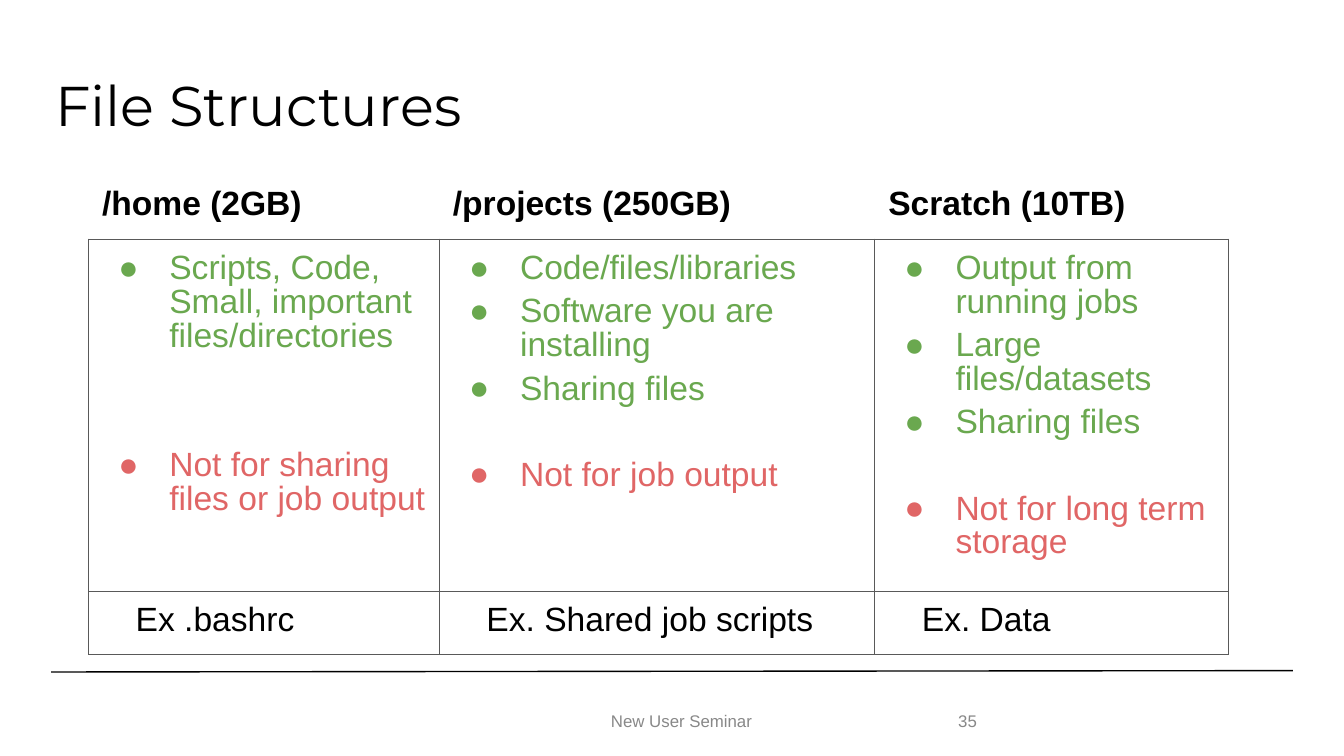
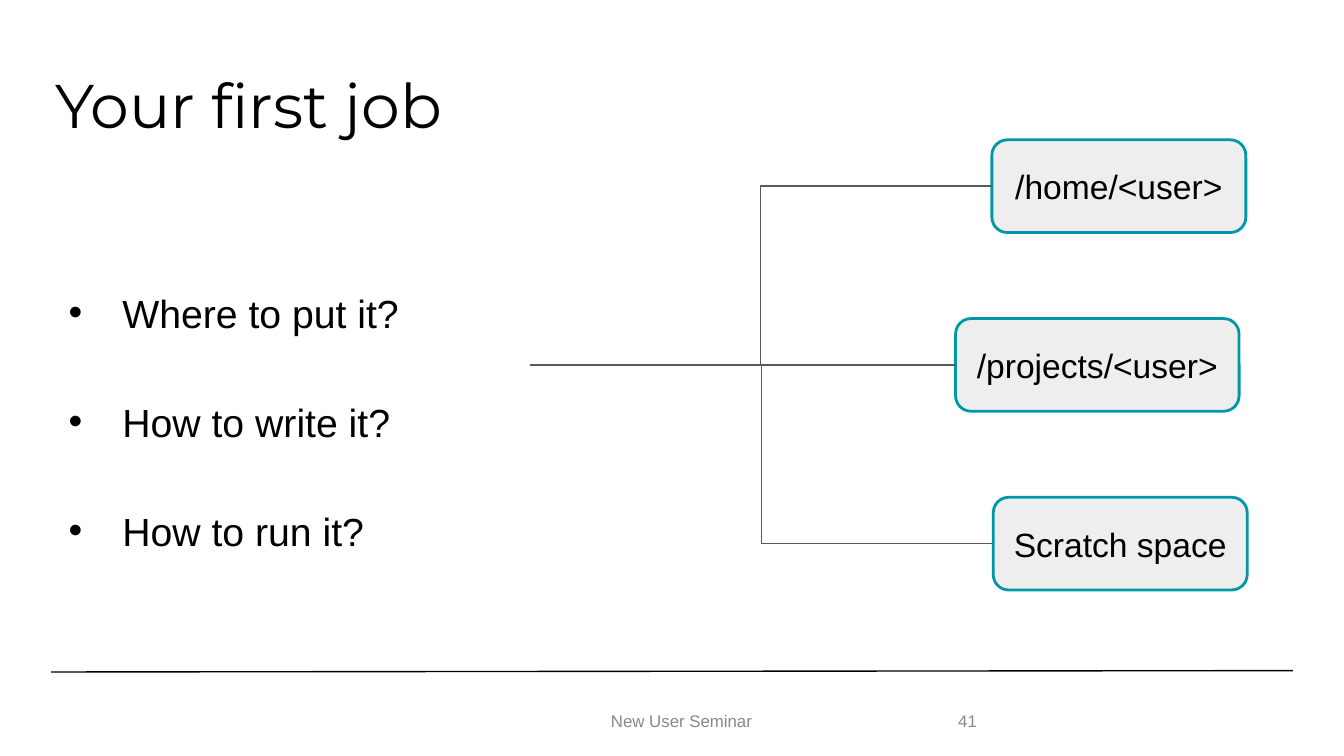
from lxml import etree
from pptx import Presentation
from pptx.dml.color import RGBColor
from pptx.enum import shapes, text
from pptx.oxml import ns
from pptx.util import Inches, Pt

BLACK = RGBColor(0x00, 0x00, 0x00)
WHITE = RGBColor(0xFF, 0xFF, 0xFF)
GRAY = RGBColor(0x88, 0x88, 0x88)
LINE_GRAY = RGBColor(0x59, 0x59, 0x59)
GREEN = RGBColor(0x6A, 0xA8, 0x4F)
RED = RGBColor(0xE0, 0x66, 0x66)
TEAL = RGBColor(0x00, 0x97, 0xA7)
BOX_FILL = RGBColor(0xEE, 0xEE, 0xEE)

BODY_FONT = "Arial"
TITLE_FONT = "Montserrat"

SLIDE_WIDTH = 10
TITLE_BOX = (0.34, 0.49, 9.32, 0.63)
FOOTER_BOX = (3.38, 5.21, 3.38, 0.3)
NUMBER_BOX = (7.06, 5.21, 0.56, 0.3)
RULE_ENDS = (0.38, 5, 9.62, 4.99)

COLUMN_WIDTHS = (2.61, 3.24, 2.63)
ROW_HEIGHTS = (0.45, 1.88, 0.41)
STORAGE = [
    ("/home (2GB)", ["Scripts, Code, Small, important files/directories"],
     "Not for sharing files or job output", 51, "Ex .bashrc"),
    ("/projects (250GB)",
     ["Code/files/libraries", "Software you are installing", "Sharing files"],
     "Not for job output", 28, "Ex. Shared job scripts"),
    ("Scratch (10TB)",
     ["Output from running jobs", "Large files/datasets", "Sharing files"],
     "Not for long term storage", 28, "Ex. Data"),
]


def add_text(frame, content, size=18, color=BLACK, font=BODY_FONT, bold=False,
             align=text.PP_ALIGN.LEFT, spacing=None, before=0, left=0, indent=0, bullet=None):
    first = not frame.text
    paragraph = frame.paragraphs[0] if first else frame.add_paragraph()
    properties = paragraph._p.get_or_add_pPr()
    if left:
        properties.set("marL", str(Inches(left)))
        properties.set("indent", str(Inches(indent)))
    if bullet:
        bullet_color = etree.SubElement(properties, ns.qn("a:buClr"))
        etree.SubElement(bullet_color, ns.qn("a:srgbClr"), val=str(color))
        etree.SubElement(properties, ns.qn("a:buFont"), typeface=font)
        etree.SubElement(properties, ns.qn("a:buChar"), char=bullet)
    paragraph.alignment = align
    if spacing:
        paragraph.line_spacing = spacing
    if before and not first:
        paragraph.space_before = Pt(before)
    run = paragraph.add_run()
    run.text = content
    run.font.size = Pt(size)
    run.font.name = font
    run.font.bold = bold
    run.font.color.rgb = color


def set_margins(frame, horizontal, vertical):
    frame.margin_left = frame.margin_right = Inches(horizontal)
    frame.margin_top = frame.margin_bottom = Inches(vertical)


def add_box(slide, box, anchor=text.MSO_ANCHOR.MIDDLE):
    frame = slide.shapes.add_textbox(*map(Inches, box)).text_frame
    frame.word_wrap = True
    frame.vertical_anchor = anchor
    set_margins(frame, 0.07, 0.04)
    return frame


def add_line(slide, ends, color=LINE_GRAY, kind=shapes.MSO_CONNECTOR.STRAIGHT):
    connector = slide.shapes.add_connector(kind, *map(Inches, ends))
    connector.line.color.rgb = color
    connector.line.width = Pt(0.75)
    etree.SubElement(connector._element.spPr, ns.qn("a:effectLst"))
    return connector


def add_base_slide(presentation, title, title_size, number):
    slide = presentation.slides.add_slide(presentation.slide_layouts[6])
    add_line(slide, RULE_ENDS, BLACK)
    add_text(add_box(slide, TITLE_BOX), title, size=title_size, font=TITLE_FONT, spacing=0.9)
    add_text(add_box(slide, FOOTER_BOX), "New User Seminar", size=9, color=GRAY,
             align=text.PP_ALIGN.CENTER)
    add_text(add_box(slide, NUMBER_BOX), str(number), size=9, color=GRAY)
    return slide


def format_cell(cell, outer_color):
    properties = cell._tc.get_or_add_tcPr()
    for side, color in zip("LRTB", [outer_color] * 3 + [LINE_GRAY]):
        border = etree.SubElement(properties, ns.qn(f"a:ln{side}"), w=str(Pt(0.75)))
        fill = etree.SubElement(border, ns.qn("a:solidFill"))
        etree.SubElement(fill, ns.qn("a:srgbClr"), val=str(color))
    cell.fill.background()
    set_margins(cell, 0.1, 0.1)


def add_storage_table(slide, left, top):
    table = slide.shapes.add_table(
        len(ROW_HEIGHTS), len(COLUMN_WIDTHS), Inches(left), Inches(top),
        Inches(sum(COLUMN_WIDTHS)), Inches(sum(ROW_HEIGHTS))).table
    table.first_row = table.horz_banding = False
    for row, height in zip(table.rows, ROW_HEIGHTS):
        row.height = Inches(height)
    for index, (heading, uses, warning, gap, example) in enumerate(STORAGE):
        table.columns[index].width = Inches(COLUMN_WIDTHS[index])
        header, body, footer = (table.cell(row, index) for row in range(3))
        for cell, color in ((header, WHITE), (body, LINE_GRAY), (footer, LINE_GRAY)):
            format_cell(cell, color)
        add_text(header.text_frame, heading, bold=True)
        items = [(use, GREEN, 5) for use in uses] + [(warning, RED, gap)]
        for content, color, before in items:
            add_text(body.text_frame, content, color=color, spacing=0.9, before=before,
                     left=0.5, indent=-0.38, bullet="●")
        add_text(footer.text_frame, example, spacing=0.9, left=0.5, indent=-0.25)


def add_questions(slide, box):
    frame = add_box(slide, box, text.MSO_ANCHOR.TOP)
    for question in ("Where to put it?", "How to write it?", "How to run it?"):
        add_text(frame, question, size=21, spacing=2, before=8,
                 left=0.5, indent=-0.4, bullet="•")


def add_location(slide, label, box):
    shape = slide.shapes.add_shape(shapes.MSO_SHAPE.ROUNDED_RECTANGLE, *map(Inches, box))
    shape.shadow.inherit = False
    shape.fill.solid()
    shape.fill.fore_color.rgb = BOX_FILL
    shape.line.color.rgb = TEAL
    shape.line.width = Pt(1.5)
    frame = shape.text_frame
    frame.word_wrap = True
    frame.vertical_anchor = text.MSO_ANCHOR.MIDDLE
    set_margins(frame, 0.1, 0.1)
    add_text(frame, label, align=text.PP_ALIGN.CENTER)
    return shape


def add_location_tree(slide, left, top):
    height, pitch = 0.69, 1.33
    root = top + pitch + height / 2
    locations = [
        ("/home/<user>", 3.44, 1.89, shapes.MSO_CONNECTOR.ELBOW),
        ("/projects/<user>", 3.17, 2.11, shapes.MSO_CONNECTOR.STRAIGHT),
        ("Scratch space", 3.45, 1.89, shapes.MSO_CONNECTOR.ELBOW),
    ]
    for index, (label, offset, width, kind) in enumerate(locations):
        box_left, box_top = left + offset, top + index * pitch
        shape = add_location(slide, label, (box_left, box_top, width, height))
        branch = add_line(slide, (left, root, box_left, box_top + height / 2), kind=kind)
        branch.end_connect(shape, 1)


def main():
    presentation = Presentation()
    presentation.slide_width = Inches(SLIDE_WIDTH)
    presentation.slide_height = Inches(SLIDE_WIDTH * 9 / 16)

    files_slide = add_base_slide(presentation, "File Structures", 30, 35)
    add_storage_table(files_slide, 0.66, 1.28)

    job_slide = add_base_slide(presentation, "Your first job", 33, 41)
    add_questions(job_slide, (0.34, 1.76, 3.85, 2.92))
    add_location_tree(job_slide, 3.94, 1.04)

    presentation.save("out.pptx")


if __name__ == "__main__":
    main()
